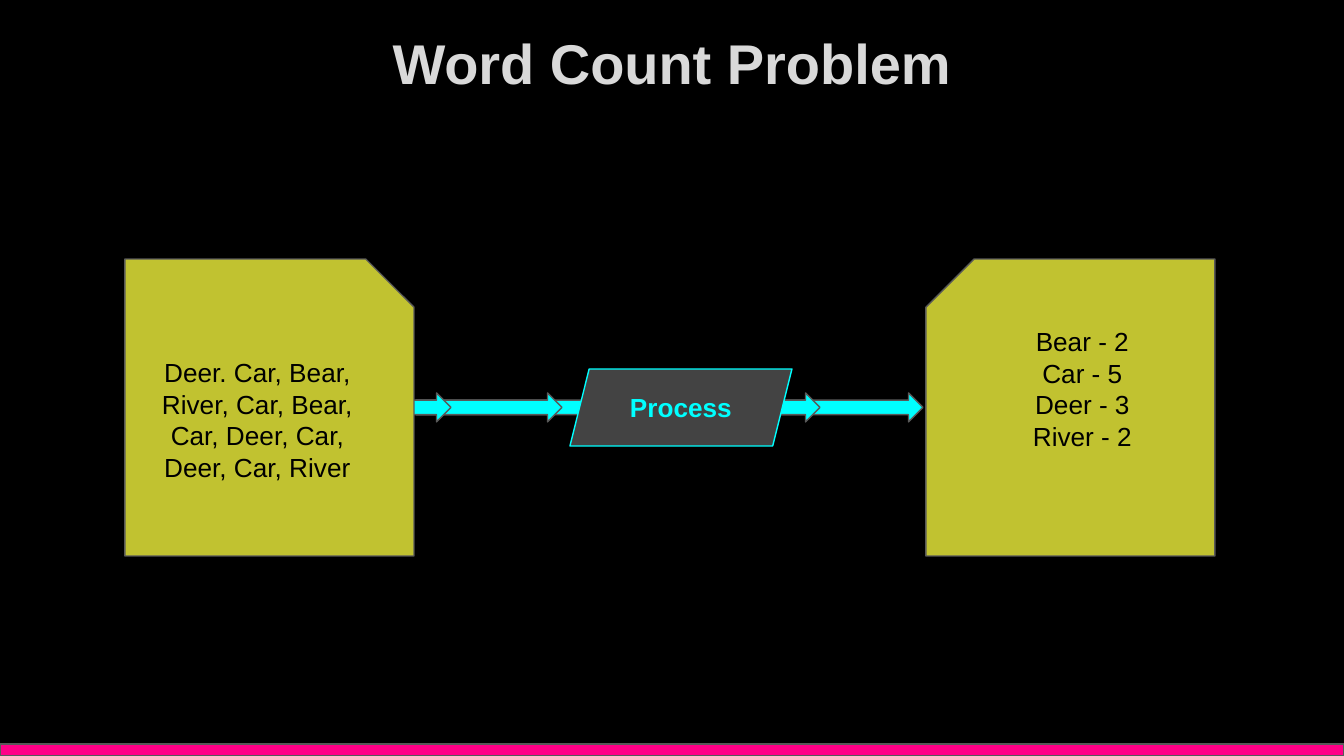
import pptx
import pptx.util
import pptx.dml.color
import pptx.enum.shapes
import pptx.enum.text

Kind = pptx.enum.shapes.MSO_SHAPE
SCALE = 914400 / 134.4
WIDE, HIGH = 1344, 756
GREY, CYAN, OLIVE, BLACK = "595959", "00FFFF", "C1C230", "000000"


def px(count):
    return pptx.util.Emu(round(count * SCALE))


def color(code):
    return pptx.dml.color.RGBColor.from_string(code)


class Deck:
    font = "Arial"
    pad = 13

    def __init__(self):
        self.show = pptx.Presentation()
        self.show.slide_width = px(WIDE)
        self.show.slide_height = px(HIGH)
        self.slide = self.show.slides.add_slide(self.show.slide_layouts[5])
        back = self.slide.background.fill
        back.solid()
        back.fore_color.rgb = color(BLACK)

    def label(self, shape, lines, size, ink, bold=False, foot=pad):
        frame = shape.text_frame
        frame.word_wrap = True
        frame.auto_size = pptx.enum.text.MSO_AUTO_SIZE.NONE
        frame.vertical_anchor = pptx.enum.text.MSO_ANCHOR.MIDDLE
        frame.margin_left = frame.margin_right = frame.margin_top = px(self.pad)
        frame.margin_bottom = px(foot)
        frame.text = "\n".join(lines)
        for para in frame.paragraphs:
            para.alignment = pptx.enum.text.PP_ALIGN.CENTER
            para.font.name = self.font
            para.font.size = pptx.util.Pt(size)
            para.font.bold = bold
            para.font.color.rgb = color(ink)

    def title(self, text, left, top, width, height):
        shape = self.slide.shapes.title
        shape.left, shape.top = px(left), px(top)
        shape.width, shape.height = px(width), px(height)
        self.label(shape, [text], 30, "D9D9D9", True)

    def shape(self, kind, left, top, width, height, fill, line=GREY):
        shape = self.slide.shapes.add_shape(
            kind, px(left), px(top), px(width), px(height))
        shape.shadow.inherit = False
        shape.fill.solid()
        shape.fill.fore_color.rgb = color(fill)
        shape.line.color.rgb = color(line)
        shape.line.width = pptx.util.Pt(0.75)
        return shape

    def arrow(self, left, width=146):
        self.shape(Kind.RIGHT_ARROW, left, 393, width, 29, CYAN)

    def note(self, left, lines, flip=False, foot=pad):
        shape = self.shape(Kind.SNIP_1_RECTANGLE, left, 259, 289, 297, OLIVE)
        if flip:
            shape._element.spPr.xfrm.set("flipH", "1")
        self.label(shape, lines, 14, BLACK, foot=foot)

    def process(self, text, left, top, width, height):
        shape = self.shape(Kind.PARALLELOGRAM, left, top, width, height,
                           "434343", CYAN)
        self.label(shape, [text], 14, CYAN, True)


def main():
    deck = Deck()
    deck.shape(Kind.RECTANGLE, 0, 744, WIDE, 12, "FF0087")
    deck.note(926, ["Bear - 2", "Car - 5", "Deer - 3", "River - 2"], True, 75)
    deck.arrow(416, 507)
    deck.arrow(416)
    deck.arrow(674)
    deck.process("Process", 570, 369, 222, 77)
    deck.arrow(305)
    deck.note(125, ["Deer. Car, Bear, River, Car, Bear,",
                    "Car, Deer, Car, Deer, Car, River"])
    deck.title("Word Count Problem", 46, 4, 1252, 117)
    deck.show.save("out.pptx")


if __name__ == "__main__":
    main()
